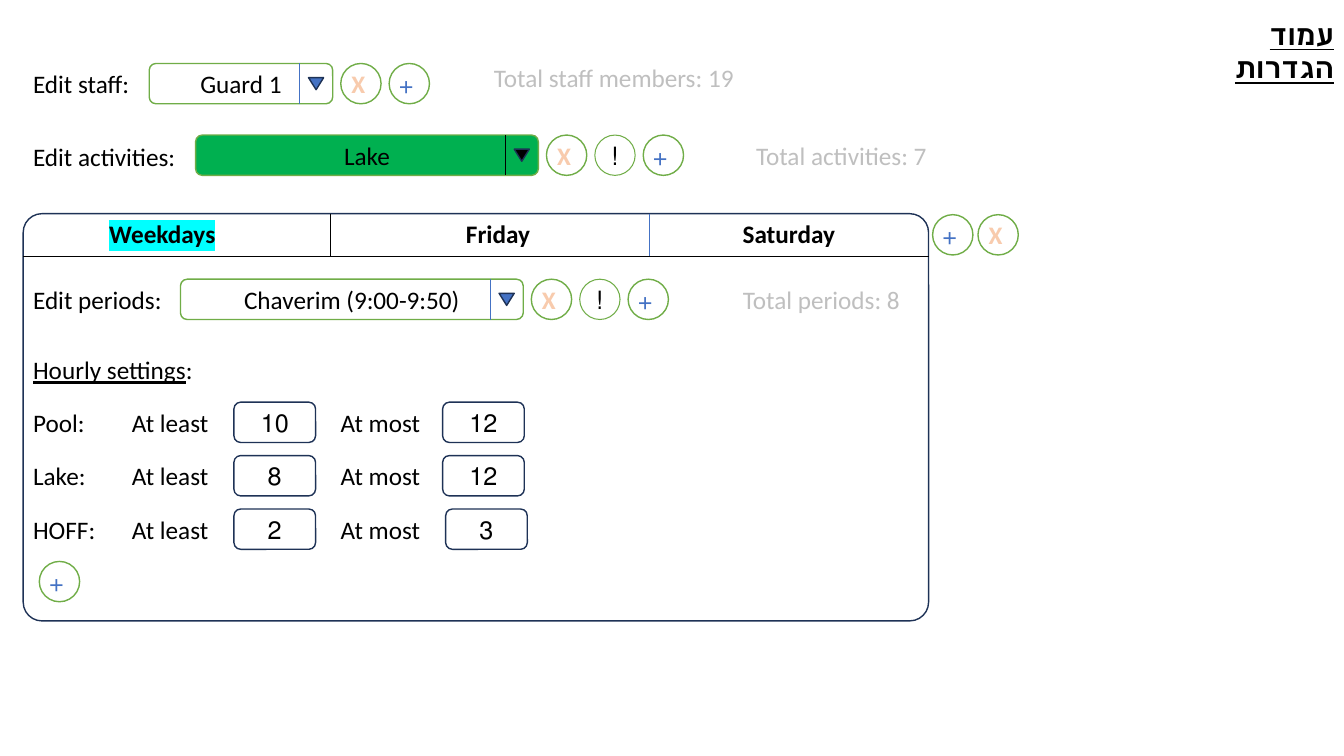
from dataclasses import dataclass

from pptx import Presentation as Deck
from pptx.dml.color import RGBColor as Rgb
from pptx.enum.shapes import MSO_CONNECTOR as Link, MSO_SHAPE as Kind
from pptx.enum.text import MSO_ANCHOR as Anchor, MSO_AUTO_SIZE as Fit, PP_ALIGN as Align
from pptx.oxml import parse_xml
from pptx.oxml.ns import nsdecls, qn
from pptx.util import Inches, Pt


@dataclass(frozen=True)
class Theme:
    font: str = "Calibri"
    body: int = 18
    head: int = 20
    black: str = "000000"
    white: str = "FFFFFF"
    gray: str = "BFBFBF"
    green: str = "70AD47"
    lake: str = "00B050"
    blue: str = "4472C4"
    navy: str = "1E3256"
    peach: str = "F8CBAD"
    orange: str = "ED7D31"
    cyan: str = "00FFFF"


@dataclass(frozen=True)
class Note:
    text: str
    left: float
    top: float
    width: float


@dataclass(frozen=True)
class Combo:
    label: Note
    pick: str
    left: float
    top: float
    width: float
    marks: str
    total: Note
    fill: str
    ink: str


@dataclass(frozen=True)
class Limit:
    place: Note
    least: str
    most: str
    shift: float = 0


@dataclass(frozen=True)
class Tab:
    note: Note
    glow: str | None = None


LOOK = Theme()
SIDE = 0.23
TALL = 0.4
CREST = 2.12
COMBOS = [
    Combo(Note("Edit staff:", SIDE, 0.63, 1.17), "Guard 1", 1.48, 0.63, 1.82, "X+",
          Note("Total staff members: 19", 4.8, 0.57, 2.61), LOOK.white, LOOK.blue),
    Combo(Note("Edit activities:", SIDE, 1.35, 1.63), "Lake", 1.94, 1.34, 3.4, "X!+",
          Note("Total activities: 7", 7.4, 1.34, 1.92), LOOK.lake, LOOK.black),
    Combo(Note("Edit periods:", SIDE, 2.77, 1.49), "Chaverim (9:00-9:50)", 1.79, 2.77, 3.4, "X!+",
          Note("Total periods: 8", 7.27, 2.77, 1.78), LOOK.white, LOOK.blue),
]
LIMITS = [
    Limit(Note("Pool:", SIDE, 3.99, 0.72), "10", "12"),
    Limit(Note("Lake:", SIDE, 4.52, 0.73), "8", "12"),
    Limit(Note("HOFF:", SIDE, 5.05, 0.83), "2", "3", 0.03),
]
TABS = [
    Tab(Note("Weekdays", 0.98, CREST, 1.26), LOOK.cyan),
    Tab(Note("Friday", 4.52, CREST, 0.84)),
    Tab(Note("Saturday", 7.26, CREST, 1.13)),
]

deck = Deck()
deck.slide_width, deck.slide_height = Inches(13.33), Inches(7.5)
slide = deck.slides.add_slide(deck.slide_layouts[5])


def write(frame, text: str, *, size: int = LOOK.body, ink: str = LOOK.black,
          bold: bool = False, under: bool = False, align: Align = Align.LEFT,
          rtl: bool = False, glow: str | None = None, edge: str | None = None) -> None:
    para = frame.paragraphs[0]
    para.alignment = align
    if rtl:
        para._p.get_or_add_pPr().set("rtl", "1")
    run = para.add_run()
    run.text = text
    font = run.font
    font.name, font.size, font.bold, font.underline = LOOK.font, Pt(size), bold, under
    font.color.rgb = Rgb.from_string(ink)
    props = run._r.get_or_add_rPr()
    if edge:
        props.insert(0, parse_xml(
            f'<a:ln {nsdecls("a")} w="22225"><a:solidFill><a:srgbClr val="{edge}"/></a:solidFill></a:ln>'))
    if glow:
        props.find(qn("a:latin")).addprevious(parse_xml(
            f'<a:highlight {nsdecls("a")}><a:srgbClr val="{glow}"/></a:highlight>'))


def label(note: Note, **style):
    frame = slide.shapes.add_textbox(
        Inches(note.left), Inches(note.top), Inches(note.width), Inches(TALL)).text_frame
    frame.word_wrap = False
    frame.auto_size = Fit.SHAPE_TO_FIT_TEXT
    write(frame, note.text, **style)
    return frame


def shape(kind: Kind, left: float, top: float, width: float, height: float = TALL, *,
          fill: str | None = None, line: str = LOOK.green, weight: float = 1,
          text: str = "", **style):
    item = slide.shapes.add_shape(
        kind, Inches(left), Inches(top), Inches(width), Inches(height))
    item.shadow.inherit = False
    if fill:
        item.fill.solid()
        item.fill.fore_color.rgb = Rgb.from_string(fill)
    else:
        item.fill.background()
    item.line.color.rgb = Rgb.from_string(line)
    item.line.width = Pt(weight)
    if text:
        item.text_frame.vertical_anchor = Anchor.MIDDLE
        write(item.text_frame, text, align=Align.CENTER, **style)
    return item


def rule(x1: float, y1: float, x2: float, y2: float, ink: str = LOOK.black) -> None:
    line = slide.shapes.add_connector(
        Link.STRAIGHT, Inches(x1), Inches(y1), Inches(x2), Inches(y2))
    line.line.color.rgb = Rgb.from_string(ink)
    line.line.width = Pt(0.5)
    line._element.spPr.append(parse_xml(f'<a:effectLst {nsdecls("a")}/>'))


def button(mark: str, left: float, top: float) -> None:
    style = {
        "X": dict(fill=LOOK.white, ink=LOOK.peach, bold=True, edge=LOOK.orange),
        "+": dict(fill=LOOK.white, ink=LOOK.blue),
        "!": dict(weight=0.75),
    }[mark]
    shape(Kind.OVAL, left, top, TALL, text=mark, rtl=True, **style)


def draw_combo(row: Combo) -> None:
    end = row.left + row.width
    label(row.label)
    shape(Kind.ROUNDED_RECTANGLE, row.left, row.top, row.width, fill=row.fill,
          text=row.pick, rtl=row.fill == LOOK.white)
    rule(end - 0.33, row.top, end - 0.33, row.top + TALL, row.ink)
    arrow = shape(Kind.ISOSCELES_TRIANGLE, end - 0.24, row.top + 0.14, 0.15, 0.12,
                  fill=row.ink, line=LOOK.navy)
    arrow.rotation = 180
    for step, mark in enumerate(row.marks):
        button(mark, end + 0.08 + 0.48 * step, row.top)
    label(row.total, ink=LOOK.gray)


def draw_limit(row: Limit) -> None:
    top = row.place.top
    label(row.place)
    for note, count, box in ((Note("At least", 1.21, top, 0.97), row.least, 2.32),
                             (Note("At most", 3.28, top, 1), row.most, 4.39 + row.shift)):
        label(note)
        shape(Kind.ROUNDED_RECTANGLE, box, top, 0.81, line=LOOK.navy, text=count, rtl=True)


def draw_panel(width: float = 8.98) -> None:
    base, end = CREST + 0.42, SIDE + width
    panel = shape(Kind.ROUNDED_RECTANGLE, SIDE, CREST, width, 4.04, line=LOOK.navy)
    panel.adjustments[0] = 0.046
    rule(SIDE, base, end, base)
    rule(3.28, CREST, 3.28, base)
    rule(6.44, CREST, 6.44, base, LOOK.blue)
    for tab in TABS:
        label(tab.note, bold=True, align=Align.CENTER, glow=tab.glow)
    button("+", end + 0.04, CREST + 0.01)
    button("X", end + 0.49, CREST + 0.01)


def draw_title() -> None:
    title = slide.shapes.title
    title.left, title.top = Inches(11.49), Inches(0.12)
    title.width, title.height = Inches(1.84), Inches(0.44)
    frame = title.text_frame
    frame.word_wrap = True
    frame.auto_size = Fit.SHAPE_TO_FIT_TEXT
    frame.vertical_anchor = Anchor.TOP
    write(frame, "עמוד הגדרות", size=LOOK.head, bold=True, under=True,
          align=Align.RIGHT, rtl=True)


def main() -> None:
    draw_title()
    for row in COMBOS:
        draw_combo(row)
    write(label(Note("Hourly settings", SIDE, 3.47, 1.87), under=True), ":")
    for row in LIMITS:
        draw_limit(row)
    button("+", 0.39, 5.57)
    draw_panel()
    deck.save("out.pptx")


if __name__ == "__main__":
    main()
